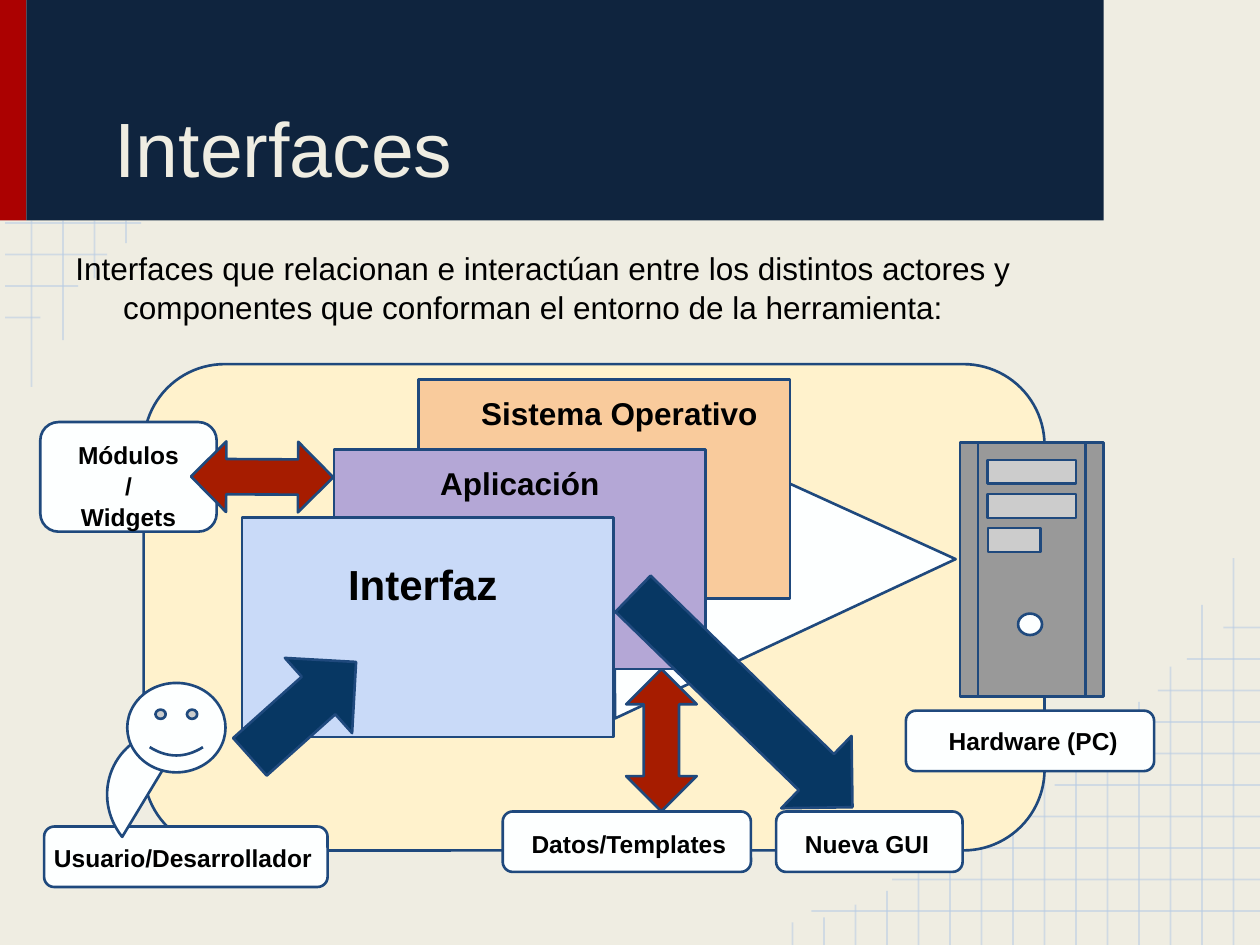
from dataclasses import dataclass

from lxml import etree
from pptx import Presentation
from pptx.dml.color import RGBColor
from pptx.enum import shapes, text
from pptx.oxml.ns import qn
from pptx.util import Inches, Pt

COLORS = {
    "background": "EFEDE2", "grid": "B7CCE4", "red": "AB0101", "navy": "0F243E",
    "outline": "1F497D", "cream": "FFF2CC", "white": "FDFFFF", "orange": "F9CB9C",
    "purple": "B4A7D6", "blue": "C9DAF8", "gray": "999999", "silver": "CCCCCC",
    "brick": "A61C00", "deep blue": "073763", "black": "000000",
}
FONT = "Arial"
INSET = Inches(0.1)
GRID_STEP = 0.25
Kind = shapes.MSO_SHAPE
Align = text.PP_ALIGN


@dataclass
class Part:
    kind: Kind
    left: float
    top: float
    width: float
    height: float
    color: str
    rotation: float = 0
    adjustments: tuple[float, ...] = ()
    outlined: bool = True


@dataclass
class Label:
    lines: tuple[str, ...]
    left: float
    top: float
    width: float
    height: float = 0.42
    size: int = 14
    align: Align = Align.LEFT
    bold: bool = True
    hanging: float = 0


def rgb(name: str) -> RGBColor:
    return RGBColor.from_string(COLORS[name])


def draw_part(slide, part: Part) -> None:
    shape = slide.shapes.add_shape(
        part.kind, Inches(part.left), Inches(part.top), Inches(part.width), Inches(part.height))
    shape.shadow.inherit = False
    shape.rotation = part.rotation
    for index, value in enumerate(part.adjustments):
        shape.adjustments[index] = value
    shape.fill.solid()
    shape.fill.fore_color.rgb = rgb(part.color)
    if part.outlined:
        shape.line.color.rgb = rgb("outline")
        shape.line.width = Pt(1.5)
    else:
        shape.line.fill.background()


def draw_grid_line(slide, x1: float, y1: float, x2: float, y2: float) -> None:
    line = slide.shapes.add_connector(
        shapes.MSO_CONNECTOR.STRAIGHT, Inches(x1), Inches(y1), Inches(x2), Inches(y2))
    line.line.color.rgb = rgb("grid")
    line.line.width = Pt(1)
    properties = line._element.spPr
    color = properties.find(".//" + qn("a:srgbClr"))
    etree.SubElement(color, qn("a:alpha"), val="54000")
    etree.SubElement(properties, qn("a:effectLst"))


def set_insets(frame) -> None:
    frame.margin_left = frame.margin_right = INSET
    frame.margin_top = frame.margin_bottom = INSET
    frame.word_wrap = True
    frame.auto_size = text.MSO_AUTO_SIZE.NONE


def format_paragraph(paragraph, size: int, color: str, bold: bool, align: Align) -> None:
    paragraph.alignment = align
    paragraph.font.name = FONT
    paragraph.font.size = Pt(size)
    paragraph.font.bold = bold
    paragraph.font.color.rgb = rgb(color)


def set_indent(paragraph, margin: float, first: float) -> None:
    properties = paragraph._p.get_or_add_pPr()
    properties.set("marL", str(Inches(margin)))
    properties.set("indent", str(Inches(first)))


def draw_label(slide, label: Label) -> None:
    box = slide.shapes.add_textbox(
        Inches(label.left), Inches(label.top), Inches(label.width), Inches(label.height))
    frame = box.text_frame
    set_insets(frame)
    frame.text = "\n".join(label.lines)
    for paragraph in frame.paragraphs:
        format_paragraph(paragraph, label.size, "black", label.bold, label.align)
        paragraph.line_spacing = 1.05
        if label.hanging:
            set_indent(paragraph, label.hanging, -label.hanging)


def draw_grids(slide) -> None:
    # Upper left corner, below the header
    for index, right in enumerate((1.12, 0.85, 0.62, 0.32)):
        y = 1.77 + index * GRID_STEP
        draw_grid_line(slide, 0.04, y, right, y)
    for index, bottom in enumerate((3.07, 2.7, 2.21, 1.93)):
        x = 0.25 + index * GRID_STEP
        draw_grid_line(slide, x, 1.75, x, bottom)
    # Lower right corner
    for index, left in enumerate((6.44, 7.08, 7.63, 7.96, 8.37, 8.67, 8.92, 9.19, 9.42, 9.71)):
        y = 7.23 - index * GRID_STEP
        draw_grid_line(slide, left, y, 10, y)
    for index, top in enumerate((4.43, 4.8, 5.29, 5.57, 5.78, 5.95, 6.19, 6.35,
                                 6.54, 6.68, 6.86, 7.07, 7.18, 7.28, 7.32)):
        x = 9.79 - index * GRID_STEP
        draw_grid_line(slide, x, top, x, 7.5)


def place_title(slide) -> None:
    title = slide.shapes.title
    title.left, title.top = Inches(0.5), Inches(0.15)
    title.width, title.height = Inches(8), Inches(1.48)
    frame = title.text_frame
    set_insets(frame)
    frame.vertical_anchor = text.MSO_ANCHOR.BOTTOM
    frame.text = "Interfaces"
    format_paragraph(frame.paragraphs[0], 44, "background", False, Align.LEFT)
    set_indent(frame.paragraphs[0], 0, 0.31)
    slide.shapes._spTree.append(title._element)  # in front of the header


HEADER = (
    Part(Kind.RECTANGLE, 0, 0, 0.21, 1.75, "red", outlined=False),
    Part(Kind.RECTANGLE, 0.21, 0, 8.55, 1.75, "navy", outlined=False),
)
DIAGRAM = (
    # Environment and user
    Part(Kind.ROUNDED_RECTANGLE, 1.14, 2.89, 7.15, 3.86, "cream"),
    Part(Kind.ROUNDED_RECTANGLE, 0.35, 6.56, 2.25, 0.48, "white"),
    Part(Kind.CHORD, 0.87, 5.77, 1.06, 1.11, "white", 116.6, (16.2, 97.2)),
    Part(Kind.SMILEY_FACE, 1.01, 5.42, 0.78, 0.71, "white"),
    # Layers leading to the hardware
    Part(Kind.FLOWCHART_EXTRACT, 4.98, 3.09, 2.5, 2.71, "white", 89.7),
    Part(Kind.RECTANGLE, 3.32, 3.01, 2.95, 1.74, "orange"),
    Part(Kind.RECTANGLE, 2.65, 3.57, 2.95, 1.74, "purple"),
    Part(Kind.RECTANGLE, 1.92, 4.11, 2.95, 1.74, "blue"),
    # Computer
    Part(Kind.FLOWCHART_PREDEFINED_PROCESS, 7.62, 3.51, 1.14, 2.02, "gray"),
    *(Part(Kind.RECTANGLE, 7.84, 3.65 + 0.27 * index, width, 0.19, "silver")
      for index, width in enumerate((0.7, 0.7, 0.42))),
    Part(Kind.OVAL, 8.08, 4.87, 0.19, 0.17, "white"),
    Part(Kind.ROUNDED_RECTANGLE, 7.19, 5.64, 1.97, 0.48, "white"),
    # Exchanges with data, modules, user and new interface
    Part(Kind.UP_DOWN_ARROW, 4.97, 5.31, 0.56, 1.13, "brick", 0, (0.5, 0.5)),
    Part(Kind.ROUNDED_RECTANGLE, 3.99, 6.44, 1.97, 0.48, "white"),
    Part(Kind.ROUNDED_RECTANGLE, 0.32, 3.35, 1.4, 0.87, "white"),
    Part(Kind.UP_DOWN_ARROW, 1.8, 3.22, 0.56, 1.13, "brick", 90.3, (0.5, 0.5)),
    Part(Kind.RIGHT_ARROW, 1.84, 5.23, 1.13, 0.8, "deep blue", 318.2),
    Part(Kind.ROUNDED_RECTANGLE, 6.16, 6.44, 1.48, 0.48, "white"),
    Part(Kind.RIGHT_ARROW, 4.68, 5.16, 2.43, 0.8, "deep blue", 44.2),
)
LABELS = (
    Label(("Interfaces que relacionan e interactúan entre los distintos actores y "
           "componentes que conforman el entorno de la herramienta:",),
          0.5, 1.86, 9, 0.9, 18, bold=False, hanging=0.38),
    Label(("Sistema Operativo",), 3.72, 3.01, 2.44, size=18),
    Label(("Aplicación",), 2.92, 3.57, 2.41, size=18, align=Align.CENTER),
    Label(("Interfaz",), 2.15, 4.31, 2.41, size=24, align=Align.CENTER),
    Label(("Módulos", "/", "Widgets"), 0.33, 3.38, 1.38, 1.16, align=Align.CENTER),
    Label(("Usuario/Desarrollador",), 0.33, 6.58, 2.39),
    Label(("Hardware (PC)",), 7.43, 5.65, 2.39),
    Label(("Datos/Templates",), 4.12, 6.47, 2.39),
    Label(("Nueva GUI",), 6.29, 6.47, 2.39),
)


def main() -> None:
    presentation = Presentation()
    presentation.slide_width, presentation.slide_height = Inches(10), Inches(7.5)
    slide = presentation.slides.add_slide(presentation.slide_layouts[5])
    slide.background.fill.solid()
    slide.background.fill.fore_color.rgb = rgb("background")
    draw_grids(slide)
    for part in HEADER:
        draw_part(slide, part)
    place_title(slide)
    for part in DIAGRAM:
        draw_part(slide, part)
    for label in LABELS:
        draw_label(slide, label)
    presentation.save("out.pptx")


if __name__ == "__main__":
    main()
